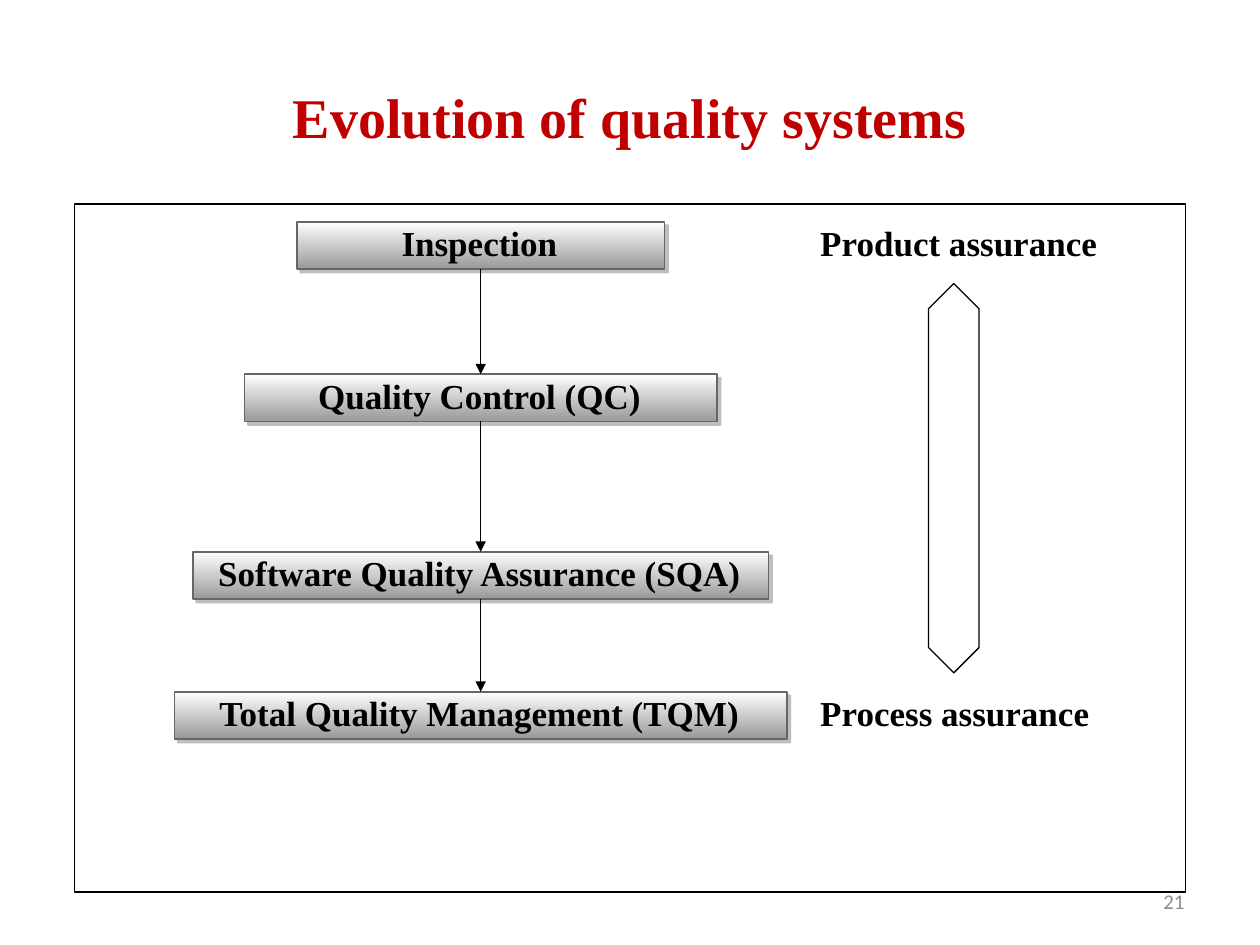
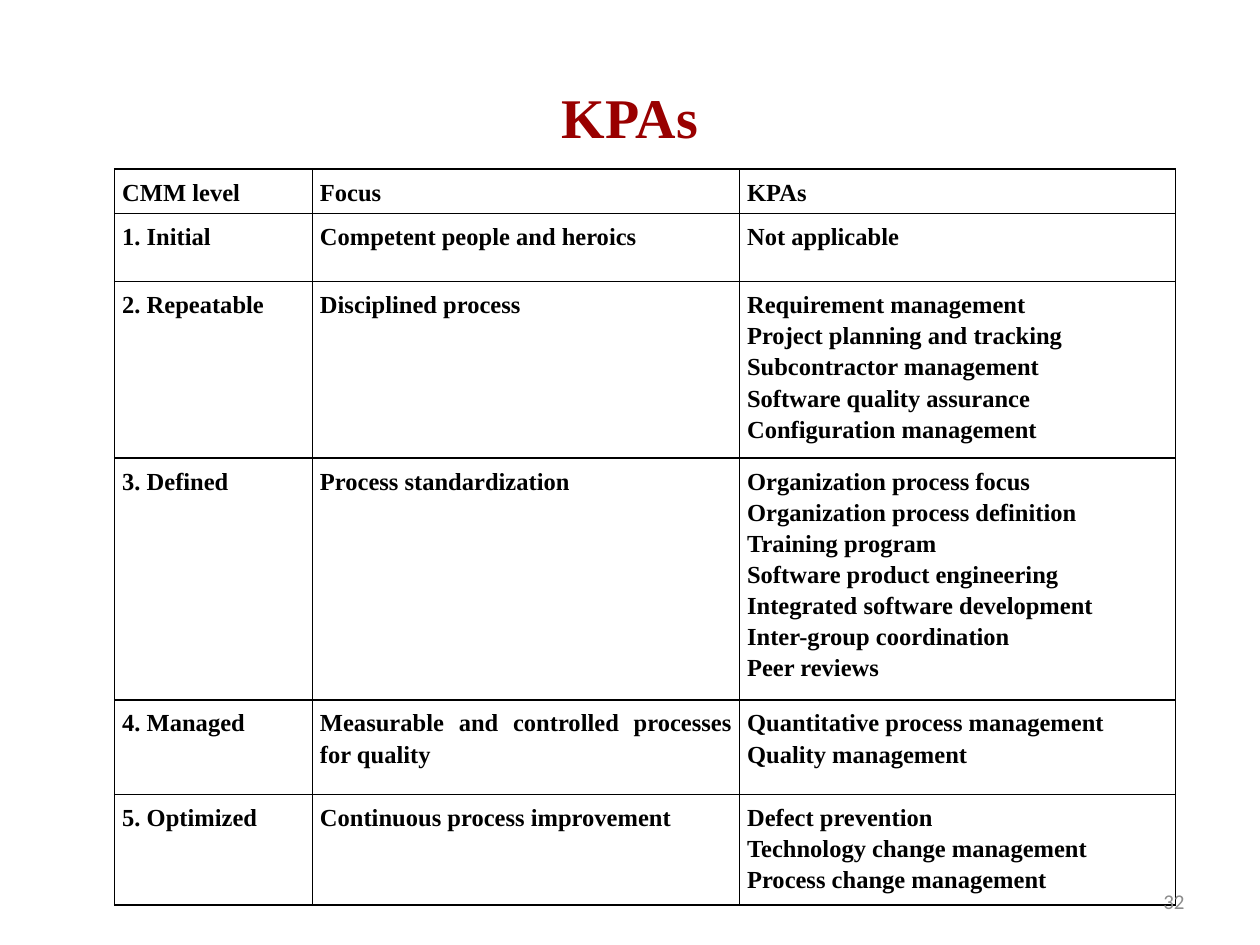
"""Build two slides on quality systems: their evolution and the CMM key process areas."""
from lxml import etree
from pptx import Presentation
from pptx import util as u
from pptx.dml.color import RGBColor
from pptx.enum import shapes, text
from pptx.oxml import parse_xml
from pptx.oxml.ns import nsdecls, qn

BLACK = RGBColor(0x00, 0x00, 0x00)
WHITE = RGBColor(0xFF, 0xFF, 0xFF)
RED = RGBColor(0xC0, 0x00, 0x00)
DARK_RED = RGBColor(0x99, 0x00, 0x00)
SILVER = RGBColor(0x99, 0x99, 0x99)
EDGE_GREY = RGBColor(0x66, 0x66, 0x66)
NUMBER_GREY = RGBColor(0x8C, 0x8C, 0x8C)
SERIF = "Times New Roman"

presentation = Presentation()
presentation.slide_width = u.Inches(10)
presentation.slide_height = u.Inches(7.5)
COLUMN = presentation.slide_width / 100
ROW = presentation.slide_height / 75


def area(left, top, width, height):
    return [round(n * unit) for n, unit in
            zip((left, top, width, height), (COLUMN, ROW, COLUMN, ROW))]


def write(paragraph, words, size, color, align, name=SERIF, bold=True):
    paragraph.text = words
    paragraph.alignment = align
    font = paragraph.font
    font.name, font.size, font.bold = name, u.Pt(size), bold
    font.color.rgb = color


slides = []
for heading, color in (("Evolution of quality systems", RED), ("KPAs", DARK_RED)):
    slide = presentation.slides.add_slide(presentation.slide_layouts[5])
    title = slide.shapes.title
    title.left, title.top, title.width, title.height = area(5, 3, 90, 12.5)
    title.text_frame.vertical_anchor = text.MSO_ANCHOR.MIDDLE
    write(title.text_frame.paragraphs[0], heading, 32, color, text.PP_ALIGN.CENTER)
    slides.append(slide)
evolution, kpas = slides

frame = evolution.shapes.add_shape(shapes.MSO_SHAPE.RECTANGLE, *area(5.9, 16.2, 88.2, 54.6))
frame.shadow.inherit = False
frame.fill.background()
frame.line.color.rgb = BLACK
frame.line.width = u.Pt(0.75)

STAGE_CENTER, BOX_HEIGHT = 38.15, 3.75
STAGES = (
    ("Inspection", 17.6, 29.2),
    ("Quality Control (QC)", 29.7, 37.5),
    ("Software Quality Assurance (SQA)", 43.8, 45.7),
    ("Total Quality Management (TQM)", 54.9, 48.6),
)
SHADOW = (f'<a:effectLst {nsdecls("a")}><a:outerShdw dist="35560" dir="2700000" rotWithShape="0">'
          '<a:srgbClr val="7F7F7F"><a:alpha val="50000"/></a:srgbClr></a:outerShdw></a:effectLst>')
stage_boxes = []
for name, top, width in STAGES:
    box = evolution.shapes.add_shape(
        shapes.MSO_SHAPE.RECTANGLE, *area(STAGE_CENTER - width / 2, top, width, BOX_HEIGHT))
    box.fill.gradient()
    box.fill.gradient_angle = 270
    for stop, color in zip(box.fill.gradient_stops, (WHITE, SILVER)):
        stop.color.rgb = color
    box.line.color.rgb = EDGE_GREY
    box.line.width = u.Pt(1)
    box._element.spPr.append(parse_xml(SHADOW))
    box_text = box.text_frame
    box_text.margin_left, box_text.margin_right = u.Inches(0.02), u.Inches(0.04)
    box_text.margin_top = box_text.margin_bottom = 0
    box_text.vertical_anchor = text.MSO_ANCHOR.TOP
    write(box_text.paragraphs[0], name, 20, BLACK, text.PP_ALIGN.CENTER)
    stage_boxes.append(box)

for upper, lower in zip(stage_boxes, stage_boxes[1:]):
    arrow = evolution.shapes.add_connector(shapes.MSO_CONNECTOR.STRAIGHT, 0, 0, 0, 0)
    arrow.begin_connect(upper, 2)
    arrow.end_connect(lower, 0)
    arrow.line.color.rgb = BLACK
    arrow.line.width = u.Pt(0.75)
    etree.SubElement(arrow.line._get_or_add_ln(), qn("a:tailEnd"), type="triangle")
    etree.SubElement(arrow._element.spPr, qn("a:effectLst"))

for words, top in (("Product assurance", STAGES[0][1]), ("Process assurance", STAGES[-1][1])):
    label = evolution.shapes.add_shape(
        shapes.MSO_SHAPE.RECTANGLE, *area(65.1, top, 23.6, BOX_HEIGHT))
    label.shadow.inherit = False
    label.fill.solid()
    label.fill.fore_color.rgb = WHITE
    label.line.color.rgb = WHITE
    label.line.width = u.Pt(0.75)
    label_text = label.text_frame
    label_text.margin_left = label_text.margin_right = 0
    label_text.margin_top = label_text.margin_bottom = 0
    label_text.vertical_anchor = text.MSO_ANCHOR.TOP
    write(label_text.paragraphs[0], words, 20, BLACK, text.PP_ALIGN.LEFT)

span = evolution.shapes.add_shape(shapes.MSO_SHAPE.UP_DOWN_ARROW, *area(73.7, 22.5, 4, 30.9))
span.shadow.inherit = False
span.adjustments[0], span.adjustments[1] = 0.5, 1.73
span.fill.solid()
span.fill.fore_color.rgb = WHITE
span.line.color.rgb = BLACK
span.line.width = u.Pt(0.75)

LEVELS = (
    ("CMM level", "Focus", ("KPAs",)),
    ("1. Initial", "Competent people and heroics", ("Not applicable",)),
    ("2. Repeatable", "Disciplined process", (
        "Requirement management", "Project planning and tracking", "Subcontractor management",
        "Software quality assurance", "Configuration management")),
    ("3. Defined", "Process standardization", (
        "Organization process focus", "Organization process definition", "Training program",
        "Software product engineering", "Integrated software development",
        "Inter-group coordination", "Peer reviews")),
    ("4. Managed", "Measurable and controlled processes for quality", (
        "Quantitative process management", "Quality management")),
    ("5. Optimized", "Continuous process improvement", (
        "Defect prevention", "Technology change management", "Process change management")),
)
COLUMN_WIDTHS = (15.7, 33.9, 34.6)
ROW_HEIGHTS = (3.55, 5.4, 14, 19.2, 7.5, 8.8)
table = kpas.shapes.add_table(
    len(LEVELS), len(COLUMN_WIDTHS),
    *area(9.1, 13.4, sum(COLUMN_WIDTHS), sum(ROW_HEIGHTS))).table
table.first_row = table.horz_banding = False
for column, width in zip(table.columns, COLUMN_WIDTHS):
    column.width = round(width * COLUMN)
for row, height, (level, focus, areas) in zip(table.rows, ROW_HEIGHTS, LEVELS):
    row.height = round(height * ROW)
    for cell, lines in zip(row.cells, ((level,), (focus,), areas)):
        cell.margin_left = cell.margin_right = u.Inches(0.06)
        cell.margin_top = cell.margin_bottom = u.Inches(0.05)
        properties = cell._tc.get_or_add_tcPr()
        for side in ("lnL", "lnR", "lnT", "lnB"):
            properties.append(parse_xml(
                f'<a:{side} {nsdecls("a")} w="12700"><a:solidFill><a:srgbClr val="{BLACK}"/>'
                f'</a:solidFill></a:{side}>'))
        cell.fill.background()
        for index, line in enumerate(lines):
            cell_text = cell.text_frame
            paragraph = cell_text.add_paragraph() if index else cell_text.paragraphs[0]
            write(paragraph, line, 14, BLACK, text.PP_ALIGN.JUSTIFY)
            paragraph.line_spacing = 1.15

for slide, number in zip(slides, ("21", "32")):
    number_box = slide.shapes.add_textbox(*area(71.7, 69.5, 23.3, 4))
    number_box.text_frame.word_wrap = True
    number_box.text_frame.vertical_anchor = text.MSO_ANCHOR.MIDDLE
    write(number_box.text_frame.paragraphs[0], number, 12, NUMBER_GREY,
          text.PP_ALIGN.RIGHT, "Calibri", False)

presentation.save("out.pptx")
